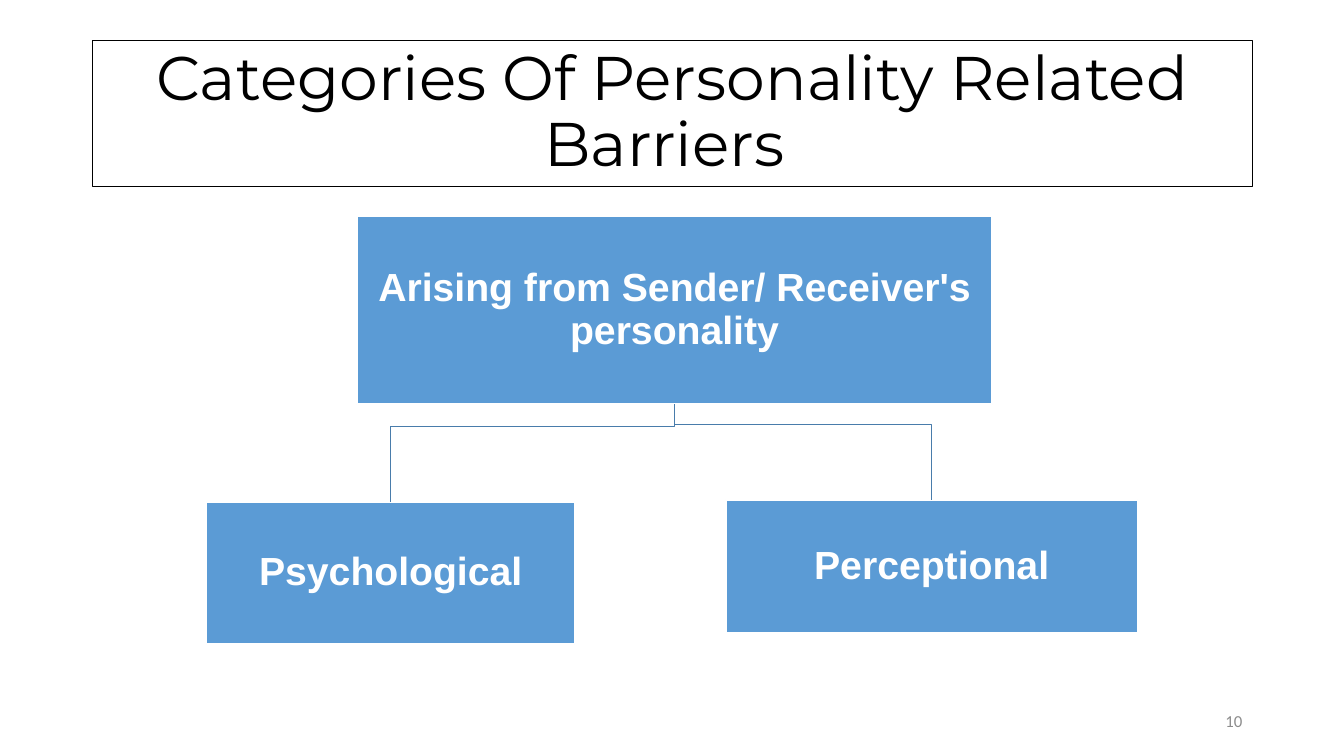
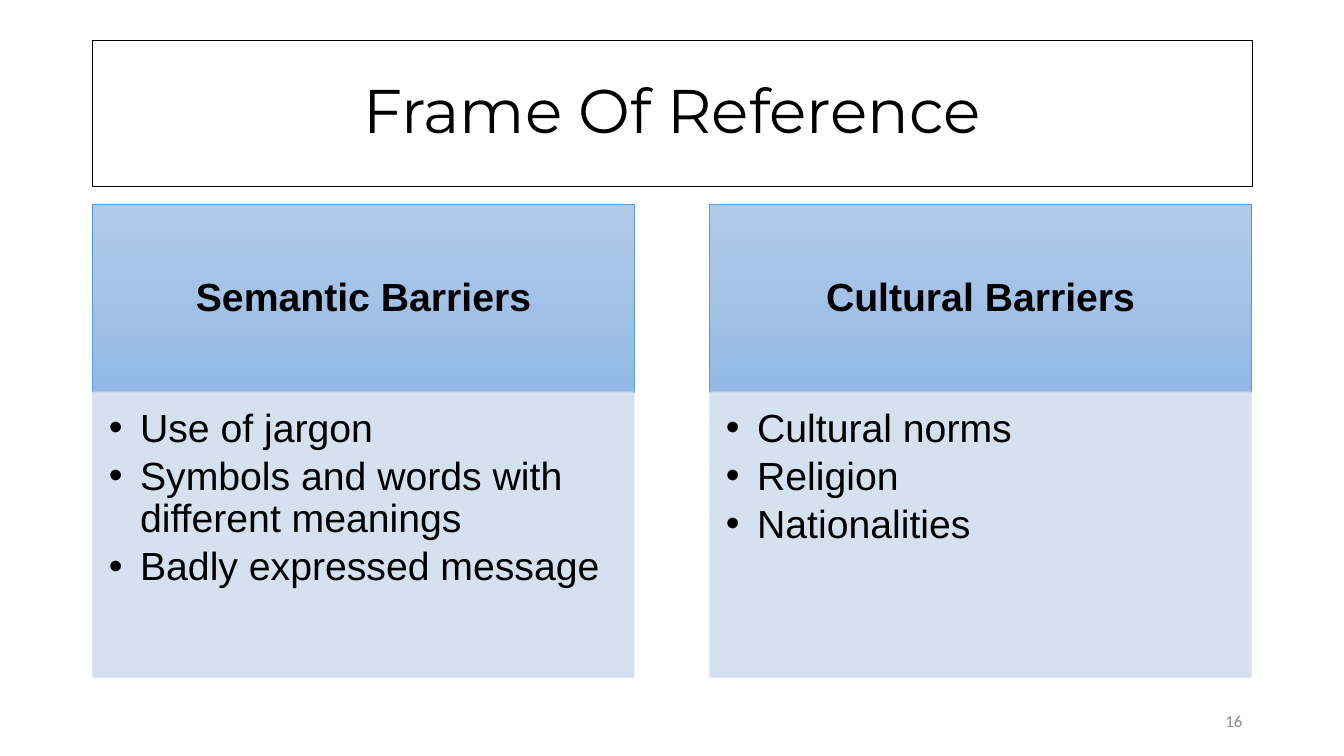
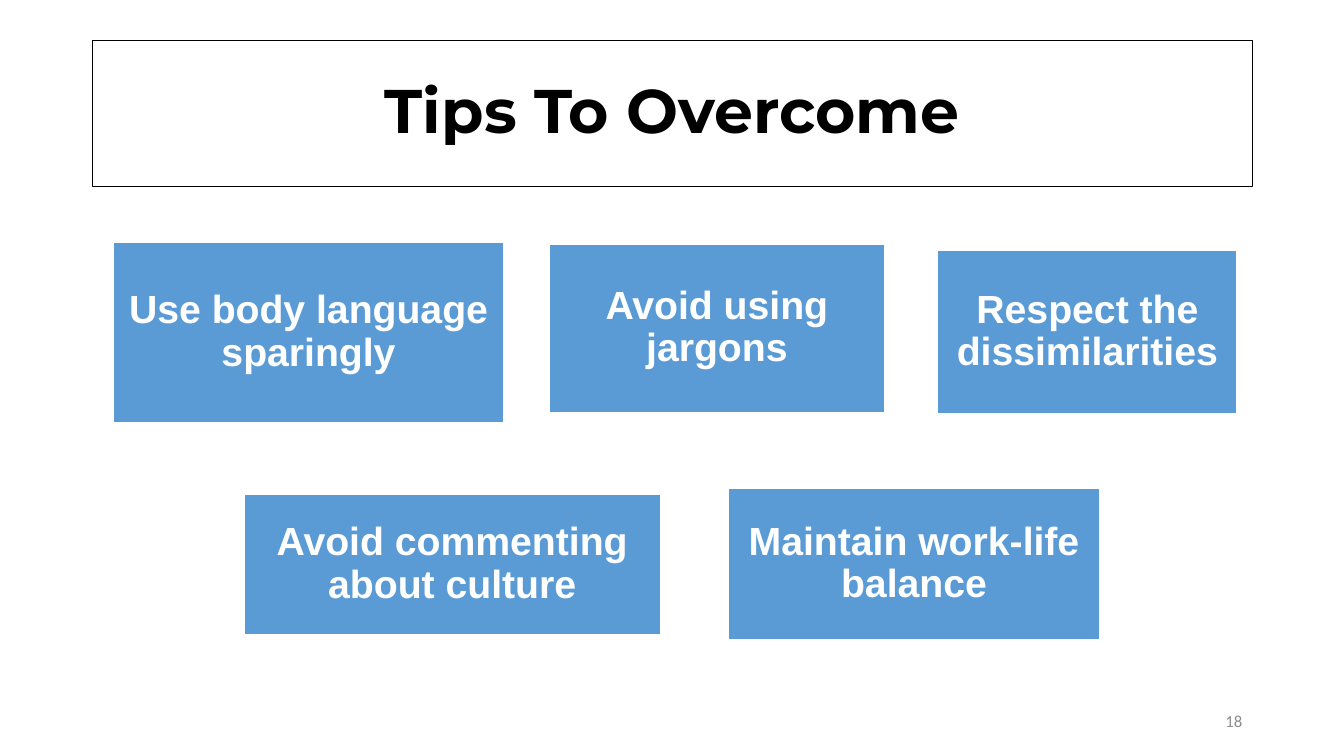
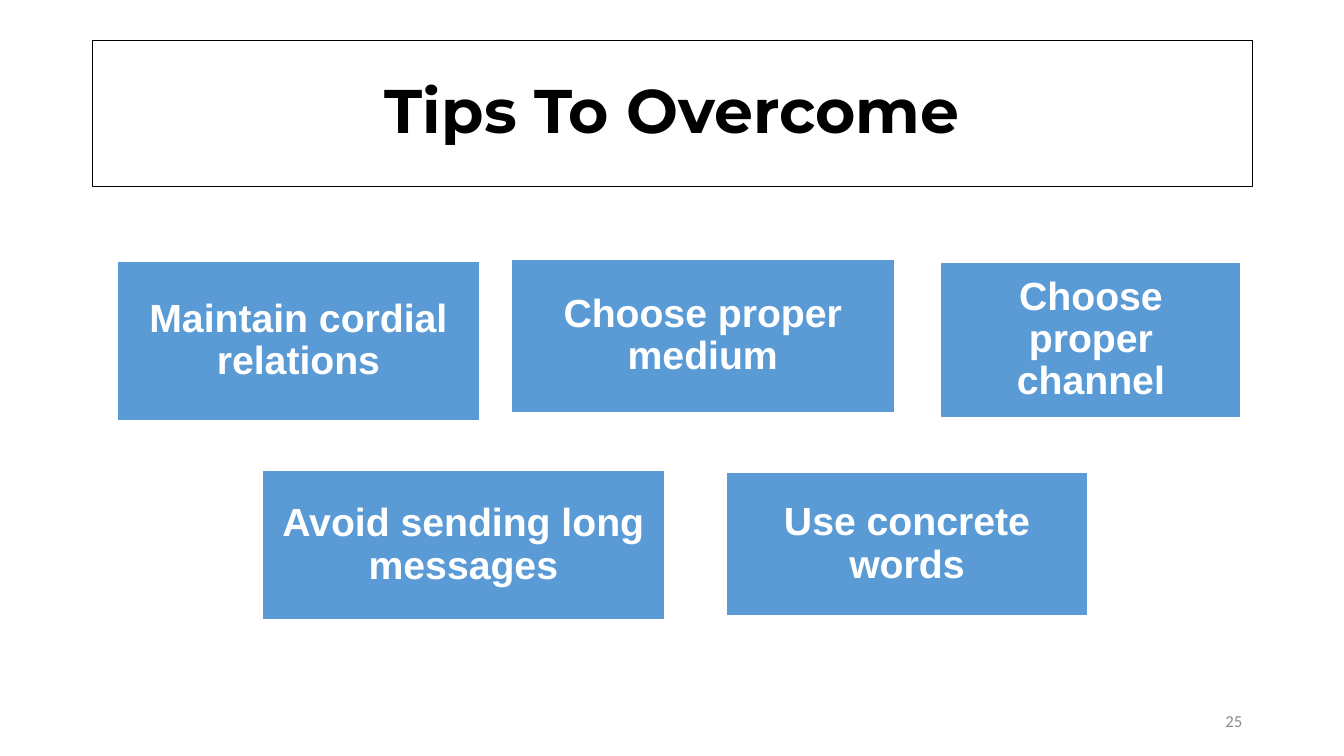
"""Builds four slides on communication barriers and tips to overcome them."""
from dataclasses import dataclass

from lxml import etree
from pptx import Presentation
from pptx import util as u
from pptx.dml.color import RGBColor
from pptx.enum import shapes, text
from pptx.oxml import ns


@dataclass(frozen=True)
class Theme:
    black: RGBColor = RGBColor.from_string("000000")
    white: RGBColor = RGBColor.from_string("FFFFFF")
    blue: RGBColor = RGBColor.from_string("5B9BD5")
    connector: RGBColor = RGBColor.from_string("497CAB")
    header_top: RGBColor = RGBColor.from_string("B1CBE9")
    header_bottom: RGBColor = RGBColor.from_string("93B9E4")
    panel: RGBColor = RGBColor.from_string("D2DEEF")
    gray: RGBColor = RGBColor.from_string("8C8C8C")
    title_font: str = "Montserrat"
    body_font: str = "Arial"
    number_font: str = "Calibri"
    title_size: u.Pt = u.Pt(44)
    body_size: u.Pt = u.Pt(28)
    number_size: u.Pt = u.Pt(12)


theme = Theme()


def write(box, lines, font, size, color, bold=False, align=text.PP_ALIGN.CENTER,
          anchor=text.MSO_ANCHOR.MIDDLE, insets=(0.1, 0.05, 0.1, 0.05), spacing=0.9):
    """Put the lines into the box and format every paragraph."""
    frame = box.text_frame
    frame.text = "\n".join(lines)
    frame.word_wrap = True
    frame.auto_size = text.MSO_AUTO_SIZE.NONE
    frame.vertical_anchor = anchor
    frame.margin_left, frame.margin_top, frame.margin_right, frame.margin_bottom = map(u.Inches, insets)
    for para in frame.paragraphs:
        para.alignment = align
        para.line_spacing = spacing
        for span in para.runs:
            span.font.name = font
            span.font.size = size
            span.font.bold = bold
            span.font.color.rgb = color


def add_block(page, place, line_color, line_width):
    """Add a blue rectangle without shadow."""
    block = page.shapes.add_shape(shapes.MSO_SHAPE.RECTANGLE, *map(u.Inches, place))
    block.shadow.inherit = False
    block.fill.solid()
    block.fill.fore_color.rgb = theme.blue
    block.line.color.rgb = line_color
    block.line.width = u.Pt(line_width)
    return block


deck = Presentation()
deck.slide_width = u.Inches(13.33)
deck.slide_height = u.Inches(7.5)

slides = [
    ("Categories Of Personality Related Barriers ", False, "10", 0.02, [
        ("Arising from Sender/ Receiver's personality", 3.54, 2.15, 6.3, 1.86),
        ("Psychological", 2.05, 4.98, 3.65, 1.41),
        ("Perceptional", 7.2, 4.96, 4.08, 1.32),
    ]),
    ("Frame Of Reference", False, "16", 0.12, []),
    ("Tips To Overcome", True, "18", 0.12, [
        ("Use body language sparingly", 1.12, 2.4, 3.88, 1.79),
        ("Avoid using jargons", 5.45, 2.42, 3.32, 1.67),
        ("Respect the dissimilarities", 9.3, 2.48, 2.97, 1.62),
        ("Avoid commenting about culture", 2.42, 4.9, 4.13, 1.4),
        ("Maintain work-life balance", 7.22, 4.84, 3.69, 1.51),
    ]),
    ("Tips To Overcome", True, "25", 0.12, [
        ("Maintain cordial relations", 1.16, 2.59, 3.6, 1.58),
        ("Choose proper medium", 5.07, 2.57, 3.8, 1.52),
        ("Choose proper channel", 9.33, 2.6, 2.98, 1.54),
        ("Avoid sending long messages", 2.6, 4.67, 3.99, 1.48),
        ("Use concrete words", 7.2, 4.69, 3.59, 1.42),
    ]),
]

pages = []
for heading, bold, number, inset, blocks in slides:
    page = deck.slides.add_slide(deck.slide_layouts[5])
    pages.append(page)

    title = page.shapes.title
    title.left, title.top, title.width, title.height = map(u.Inches, (0.92, 0.4, 11.5, 1.45))
    title.fill.solid()
    title.fill.fore_color.rgb = theme.white
    title.line.color.rgb = theme.black
    title.line.width = u.Pt(1)
    write(title, [heading], theme.title_font, theme.title_size, theme.black, bold)

    for label, *place in blocks:
        block = add_block(page, place, theme.white, 1)
        write(block, [label], theme.body_font, theme.body_size, theme.white, True, insets=(inset,) * 4)

    number_box = page.shapes.add_textbox(*map(u.Inches, (9.42, 6.95, 3, 0.4)))
    write(number_box, [number], theme.number_font, theme.number_size, theme.gray,
          align=text.PP_ALIGN.RIGHT, spacing=1.0)

hierarchy_page, reference_page = pages[:2]

(_, left, top, width, height), *children = slides[0][4]
root_x, root_y = left + width / 2, top + height
for _, left, top, width, height in children:
    child_x, bend_y = left + width / 2, top - 0.75
    branch = hierarchy_page.shapes.build_freeform(u.Inches(root_x), u.Inches(root_y))
    corners = [(root_x, bend_y), (child_x, bend_y), (child_x, top)]
    branch.add_line_segments([(u.Inches(x), u.Inches(y)) for x, y in corners], close=False)
    link = branch.convert_to_shape()
    link.shadow.inherit = False
    link.fill.background()
    link.line.color.rgb = theme.connector
    link.line.width = u.Pt(1)

columns = [
    ("Semantic Barriers", ["Use of jargon", "Symbols and words with different meanings",
                           "Badly expressed message"]),
    ("Cultural Barriers", ["Cultural norms", "Religion", "Nationalities"]),
]
for index, (heading, items) in enumerate(columns):
    left = 0.92 + index * 6.12
    header = add_block(reference_page, (left, 2.03, 5.37, 1.86), theme.blue, 0.5)
    header.fill.gradient()
    header.fill.gradient_angle = 270
    for stop, color in zip(header.fill.gradient_stops, (theme.header_top, theme.header_bottom)):
        stop.color.rgb = color
    for stop, position in zip(header.fill.gradient_stops, (0, 1)):
        stop.position = position
    write(header, [heading], theme.body_font, theme.body_size, theme.black, True,
          insets=(0.22, 0.12, 0.22, 0.12))

    panel = add_block(reference_page, (left, 3.89, 5.37, 2.83), theme.panel, 0.5)
    panel.fill.fore_color.rgb = theme.panel
    for color in panel.element.spPr.iter(ns.qn("a:srgbClr")):
        etree.SubElement(color, ns.qn("a:alpha"), val="90000")
    write(panel, items, theme.body_font, theme.body_size, theme.black,
          align=text.PP_ALIGN.LEFT, anchor=text.MSO_ANCHOR.TOP, insets=(0.16, 0.16, 0.22, 0.24))
    for para in panel.text_frame.paragraphs:
        para.space_after = u.Pt(4.2)
        properties = para._p.get_or_add_pPr()
        properties.set("marL", str(u.Inches(0.31)))
        properties.set("indent", str(-u.Inches(0.31)))
        etree.SubElement(properties, ns.qn("a:buFont"), typeface=theme.body_font)
        etree.SubElement(properties, ns.qn("a:buChar"), char="•")

deck.save("out.pptx")
